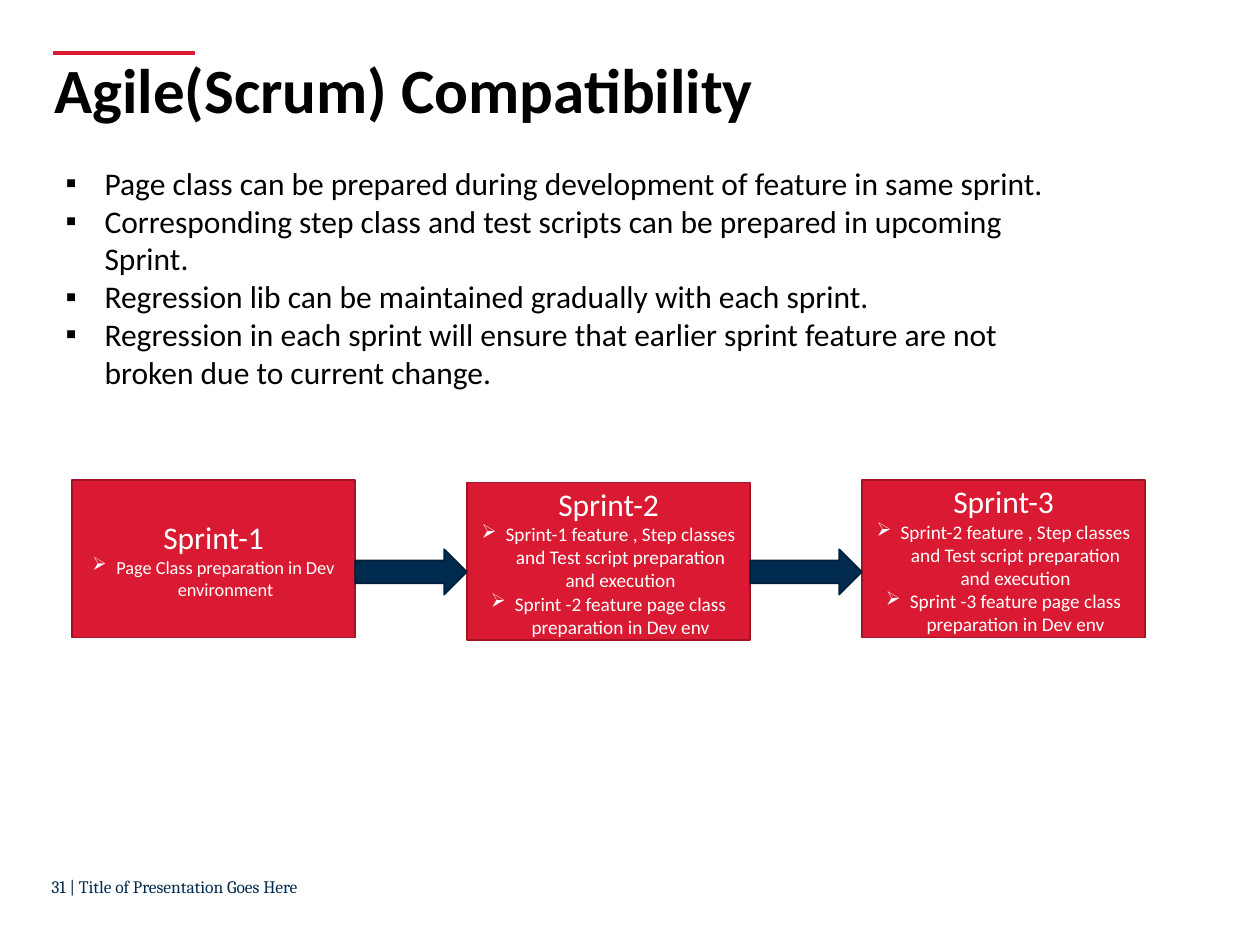
import pptx
import pptx.util
import pptx.dml.color
import pptx.enum.shapes
import pptx.enum.text
import pptx.oxml
import pptx.oxml.ns
from dataclasses import dataclass

Inch = pptx.util.Inches
Pt = pptx.util.Pt
SHAPE = pptx.enum.shapes.MSO_SHAPE
ALIGN = pptx.enum.text.PP_ALIGN
ANCHOR = pptx.enum.text.MSO_ANCHOR


@dataclass(frozen=True)
class Theme:
    font: str = "Calibri"
    serif: str = "Cambria"
    red: str = "DA1A32"
    edge: str = "A11325"
    navy: str = "002A4E"
    rim: str = "001F3A"
    black: str = "000000"
    white: str = "FFFFFF"
    head: float = 36
    text: float = 18
    foot: float = 10


LOOK = Theme()

# Grid of the sprint row, in inches
LEFT, TOP = 0.57, 3.81
WIDE, HIGH = 2.25, 1.25
STEP = 3.135
ARROW = 0.36

POINTS = [
    "Page class can be prepared during development of feature in same sprint.",
    "Corresponding step class and test scripts can be prepared in upcoming Sprint.",
    "Regression lib can be maintained gradually with each sprint.",
    "Regression in each sprint will ensure that earlier sprint feature are not "
    "broken due to current change.",
]


def later(num):
    """Tasks of a sprint that follows another one."""
    return [
        f"Sprint-{num - 1} feature , Step classes and Test script preparation and execution",
        f"Sprint -{num} feature page class preparation in Dev env",
    ]


# Name, tasks, task type size, drop below the row's top
SPRINTS = [
    ("Sprint-1", ["Page Class preparation in Dev environment"], 10.5, 0),
    ("Sprint-2", later(2), 11, 0.02),
    ("Sprint-3", later(3), 11, 0),
]


def color(code):
    return pptx.dml.color.RGBColor.from_string(code)


def place(shape, left, top, width, height):
    shape.left, shape.top = Inch(left), Inch(top)
    shape.width, shape.height = Inch(width), Inch(height)


def write(para, text, size, tint, font=LOOK.font, bold=False):
    run = para.add_run()
    run.text = text
    run.font.size = Pt(size)
    run.font.name = font
    run.font.bold = bold
    run.font.color.rgb = color(tint)


def bullet(para, mark, indent):
    para.space_before = Pt(0)
    props = para._p.get_or_add_pPr()
    props.set("marL", str(Inch(indent)))
    props.set("indent", str(-Inch(indent)))
    sign = pptx.oxml.parse_xml(
        f'<a:buChar {pptx.oxml.ns.nsdecls("a")} char="{mark}"/>')
    props.append(sign)


def prepare(frame, anchor):
    frame.word_wrap = True
    frame.auto_size = pptx.enum.text.MSO_AUTO_SIZE.NONE
    frame.vertical_anchor = anchor
    return frame


def paint(shape, fill, line):
    shape.shadow.inherit = False
    shape.fill.solid()
    shape.fill.fore_color.rgb = color(fill)
    shape.line.color.rgb = color(line)
    shape.line.width = Pt(1)


def add_rule(slide):
    rule = slide.shapes.add_connector(
        pptx.enum.shapes.MSO_CONNECTOR.STRAIGHT,
        Inch(0.42), Inch(0.42), Inch(1.55), Inch(0.42))
    rule.line.color.rgb = color(LOOK.red)
    rule.line.width = Pt(2.5)
    flat = pptx.oxml.parse_xml(f'<a:effectLst {pptx.oxml.ns.nsdecls("a")}/>')
    rule._element.spPr.append(flat)


def add_title(slide, text):
    title = slide.shapes.title
    place(title, 0.33, 0.42, 9, 0.34)
    para = prepare(title.text_frame, ANCHOR.TOP).paragraphs[0]
    para.alignment = ALIGN.LEFT
    para.line_spacing = 0.9
    write(para, text, LOOK.head, LOOK.black, bold=True)


def add_list(slide, items):
    body = slide.placeholders[1]
    place(body, 0.42, 1.25, 8.33, 1.92)
    frame = prepare(body.text_frame, ANCHOR.TOP)
    for num, item in enumerate(items):
        para = frame.add_paragraph() if num else frame.paragraphs[0]
        bullet(para, "▪", 0.31)
        write(para, item, LOOK.text, LOOK.black)


def add_foot(slide, text):
    box = slide.shapes.add_textbox(Inch(0.31), Inch(6.9), Inch(3.56), Inch(0.18))
    para = prepare(box.text_frame, ANCHOR.TOP).paragraphs[0]
    write(para, text, LOOK.foot, LOOK.navy, LOOK.serif)


def add_box(group, left, top, name, tasks, size):
    box = group.shapes.add_shape(
        SHAPE.RECTANGLE, Inch(left), Inch(top), Inch(WIDE), Inch(HIGH))
    paint(box, LOOK.red, LOOK.edge)
    frame = prepare(box.text_frame, ANCHOR.MIDDLE)
    head = frame.paragraphs[0]
    head.alignment = ALIGN.CENTER
    write(head, name, LOOK.text, LOOK.white)
    for task in tasks:
        para = frame.add_paragraph()
        para.alignment = ALIGN.CENTER
        bullet(para, "➢", 0.19)
        write(para, task, size, LOOK.white)


def add_arrow(group, left):
    arrow = group.shapes.add_shape(
        SHAPE.RIGHT_ARROW, Inch(left), Inch(4.36),
        Inch(STEP - WIDE), Inch(ARROW))
    paint(arrow, LOOK.navy, LOOK.rim)


def add_flow(slide):
    group = slide.shapes.add_group_shape()
    for col, (name, tasks, size, drop) in enumerate(SPRINTS):
        add_box(group, LEFT + col * STEP, TOP + drop, name, tasks, size)
    for col in range(len(SPRINTS) - 1):
        add_arrow(group, LEFT + col * STEP + WIDE)


def main():
    deck = pptx.Presentation()
    deck.slide_width, deck.slide_height = Inch(10), Inch(7.5)
    slide = deck.slides.add_slide(deck.slide_layouts[1])

    # Frame of the slide
    add_rule(slide)
    add_foot(slide, "31 | Title of Presentation Goes Here")

    # Content
    add_title(slide, "Agile(Scrum) Compatibility")
    add_list(slide, POINTS)
    add_flow(slide)

    deck.save("out.pptx")


if __name__ == "__main__":
    main()
